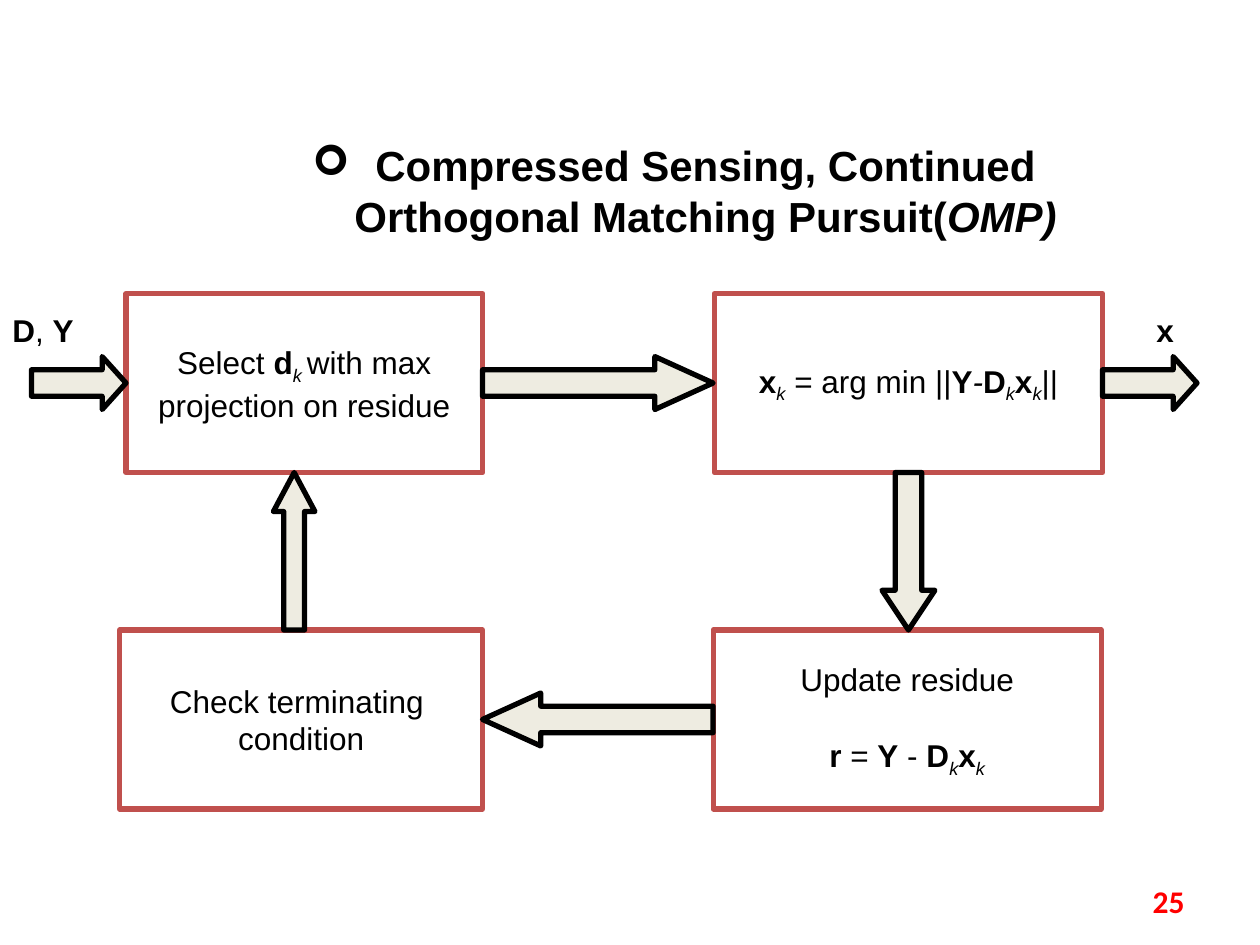
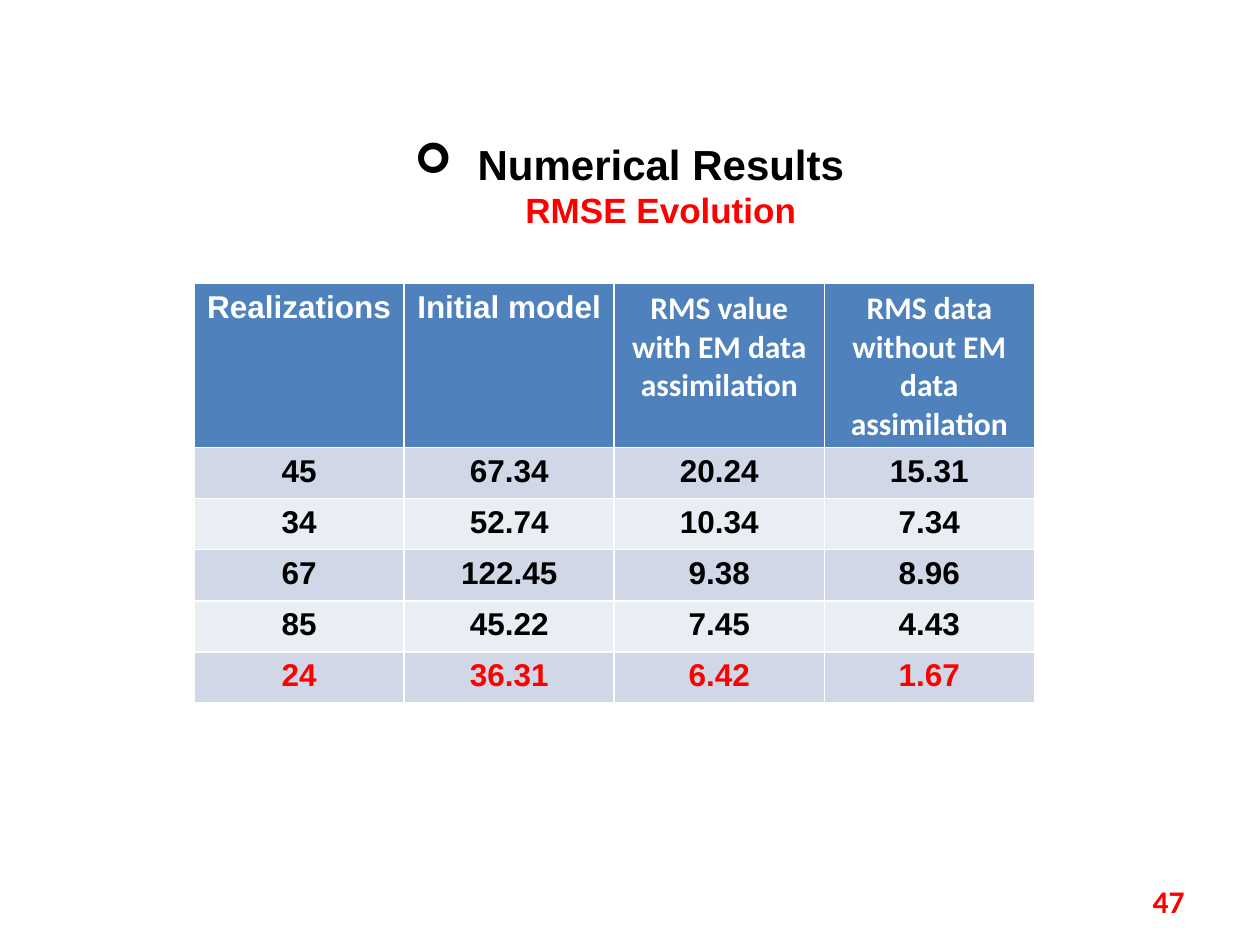
from lxml.etree import SubElement
from pptx import Presentation
from pptx.dml.color import RGBColor
from pptx.enum.shapes import MSO_SHAPE as SHAPE
from pptx.enum.text import MSO_ANCHOR as ANCHOR, MSO_AUTO_SIZE as AUTO, PP_ALIGN as ALIGN
from pptx.oxml.ns import qn
from pptx.util import Inches, Pt

BLACK, WHITE, RED = "000000", "FFFFFF", "FF0000"
BOX_LINE, ARROW_FILL = "C0504D", "EEECE1"
HEADER, BANDS = "4F81BD", ("D0D8E8", "E9EDF4")


def rgb(value):
    return RGBColor.from_string(value)


def inches(*lengths):
    return [Inches(n) for n in lengths]


def write(p, runs, font="Arial", size=18, color=BLACK, bold=False, align=ALIGN.CENTER, before=0):
    """Add runs to p: plain strings, or (text, format) pairs overriding the defaults.

    Flags: b bold, i italic, _ subscript.
    """
    p.alignment = align
    if before:
        p.space_before = Pt(before)
    for item in [runs] if isinstance(runs, str) else runs:
        text, flags, *override = (item, "") if isinstance(item, str) else item
        run_size, run_color = override or (size, color)
        for i, line in enumerate(text.split("\n")):
            if i:
                p.add_line_break()
            if not line:
                continue
            r = p.add_run()
            r.text = line
            r.font.name, r.font.size = font, Pt(run_size)
            r.font.bold = bold or "b" in flags
            r.font.italic = "i" in flags
            r.font.color.rgb = rgb(run_color)
            if "_" in flags:
                r.font._element.set("baseline", "-25000")


class Deck:
    def __init__(self):
        self.prs = Presentation()
        self.prs.slide_width, self.prs.slide_height = inches(10, 7.5)
        self.s = None

    def slide(self, number, title, at):
        """Start a slide with its bulleted title and page number."""
        self.s = self.prs.slides.add_slide(self.prs.slide_layouts[5])
        sp = self.s.shapes.title
        sp.left, sp.top, sp.width, sp.height = inches(*at)
        tf = sp.text_frame
        tf.word_wrap, tf.auto_size = True, AUTO.NONE
        tf.vertical_anchor = ANCHOR.MIDDLE
        p = tf.paragraphs[0]
        pPr = p._p.get_or_add_pPr()
        pPr.set("marL", str(Inches(0.5)))
        pPr.set("indent", str(Inches(-0.5)))
        SubElement(pPr, qn("a:buFont"), typeface="Wingdings")
        SubElement(pPr, qn("a:buChar"), char="➢")
        write(p, title, size=24, bold=True)
        self.label(str(number), 7.17, 6.95, 2.33, font="Calibri", color=RED,
                   bold=True, align=ALIGN.RIGHT)

    def label(self, runs, x, y, w, **fmt):
        tf = self.s.shapes.add_textbox(*inches(x, y, w, 0.4)).text_frame
        tf.word_wrap, tf.vertical_anchor = True, ANCHOR.MIDDLE
        write(tf.paragraphs[0], runs, **fmt)

    def shape(self, kind, at, line, fill=None):
        sp = self.s.shapes.add_shape(kind, *inches(*at))
        sp.shadow.inherit = False
        sp.line.color.rgb, sp.line.width = rgb(line), Pt(3)
        if fill:
            sp.fill.solid()
            sp.fill.fore_color.rgb = rgb(fill)
        else:
            sp.fill.background()
        return sp

    def box(self, at, lines, fill=None, gap=0):
        """A process step; gap is the space between its paragraphs."""
        tf = self.shape(SHAPE.FLOWCHART_PROCESS, at, BOX_LINE, fill).text_frame
        tf.word_wrap, tf.vertical_anchor = False, ANCHOR.MIDDLE
        for i, runs in enumerate(lines):
            p = tf.add_paragraph() if i else tf.paragraphs[0]
            write(p, runs, before=gap if i else 0)

    def arrow(self, kind, at, head):
        sp = self.shape(kind, at, BLACK, ARROW_FILL)
        sp.adjustments[0], sp.adjustments[1] = 0.5, head

    def table(self, at, header_height, rows):
        table = self.s.shapes.add_table(len(rows), len(rows[0]), *inches(*at)).table
        row_height = (at[3] - header_height) / (len(rows) - 1)
        for i, values in enumerate(rows):
            table.rows[i].height = Inches(row_height if i else header_height)
            fill = BANDS[(i - 1) % 2] if i else HEADER
            color = RED if i == len(rows) - 1 else BLACK if i else WHITE
            for j, value in enumerate(values):
                cell = table.cell(i, j)
                cell.fill.solid()
                cell.fill.fore_color.rgb = rgb(fill)
                font = "Calibri" if i == 0 and j >= 2 else "Arial"
                write(cell.text_frame.paragraphs[0], value, font=font, color=color, bold=True)


def omp_slide(deck):
    deck.slide(25, ["Compressed Sensing, Continued\nOrthogonal Matching Pursuit(", ("OMP)", "i")],
               (0.98, 0.92, 8.74, 1.18))
    k = ("k", "i_")
    D, Y, x = ("D", "b"), ("Y", "b"), ("x", "b")

    # Process steps
    top, bottom, height = 2.33, 5, 1.42
    deck.box((1, top, 2.83, height),
             [["Select ", ("d", "b"), ("k ", "i_"), "with max"], "projection on residue"])
    deck.box((5.67, top, 3.08, height),
             [[x, k, " = arg min ||", Y, ("-", "i"), D, k, x, k, "||"]])
    deck.box((5.66, bottom, 3.08, height),
             ["Update residue", [("r ", "b"), "= ", Y, " - ", D, k, x, k]], fill=WHITE, gap=21.5)
    deck.box((0.95, bottom, 2.88, height), ["Check terminating ", "condition"])

    # Block arrows around the loop, then input and output
    deck.arrow(SHAPE.RIGHT_ARROW, (3.83, 2.83, 1.83, 0.42), 1.1)
    deck.arrow(SHAPE.DOWN_ARROW, (7, 3.75, 0.42, 1.25), 0.75)
    deck.arrow(SHAPE.LEFT_ARROW, (3.83, 5.5, 1.83, 0.42), 1.1)
    deck.arrow(SHAPE.UP_ARROW, (2.17, 3.75, 0.33, 1.25), 0.94)
    for left in (0.25, 8.75):
        deck.arrow(SHAPE.RIGHT_ARROW, (left, 2.83, 0.75, 0.42), 0.45)
    deck.label([D, ", ", Y], 0, 2.42, 0.92, align=ALIGN.LEFT)
    deck.label([x], 9.08, 2.42, 0.5, align=ALIGN.LEFT)


def results_slide(deck):
    deck.slide(47, ["Numerical Results\n", ("RMSE Evolution", "", 20, RED)],
               (0.51, 0.84, 8.97, 1.25))
    deck.table((1.54, 2.25, 6.67, 3.33), 1.3, [
        ("Realizations", "Initial model", "RMS value with EM data assimilation",
         "RMS data without EM data assimilation"),
        ("45", "67.34", "20.24", "15.31"),
        ("34", "52.74", "10.34", "7.34"),
        ("67", "122.45", "9.38", "8.96"),
        ("85", "45.22", "7.45", "4.43"),
        ("24", "36.31", "6.42", "1.67"),
    ])


def main():
    deck = Deck()
    omp_slide(deck)
    results_slide(deck)
    deck.prs.save("out.pptx")


if __name__ == "__main__":
    main()
